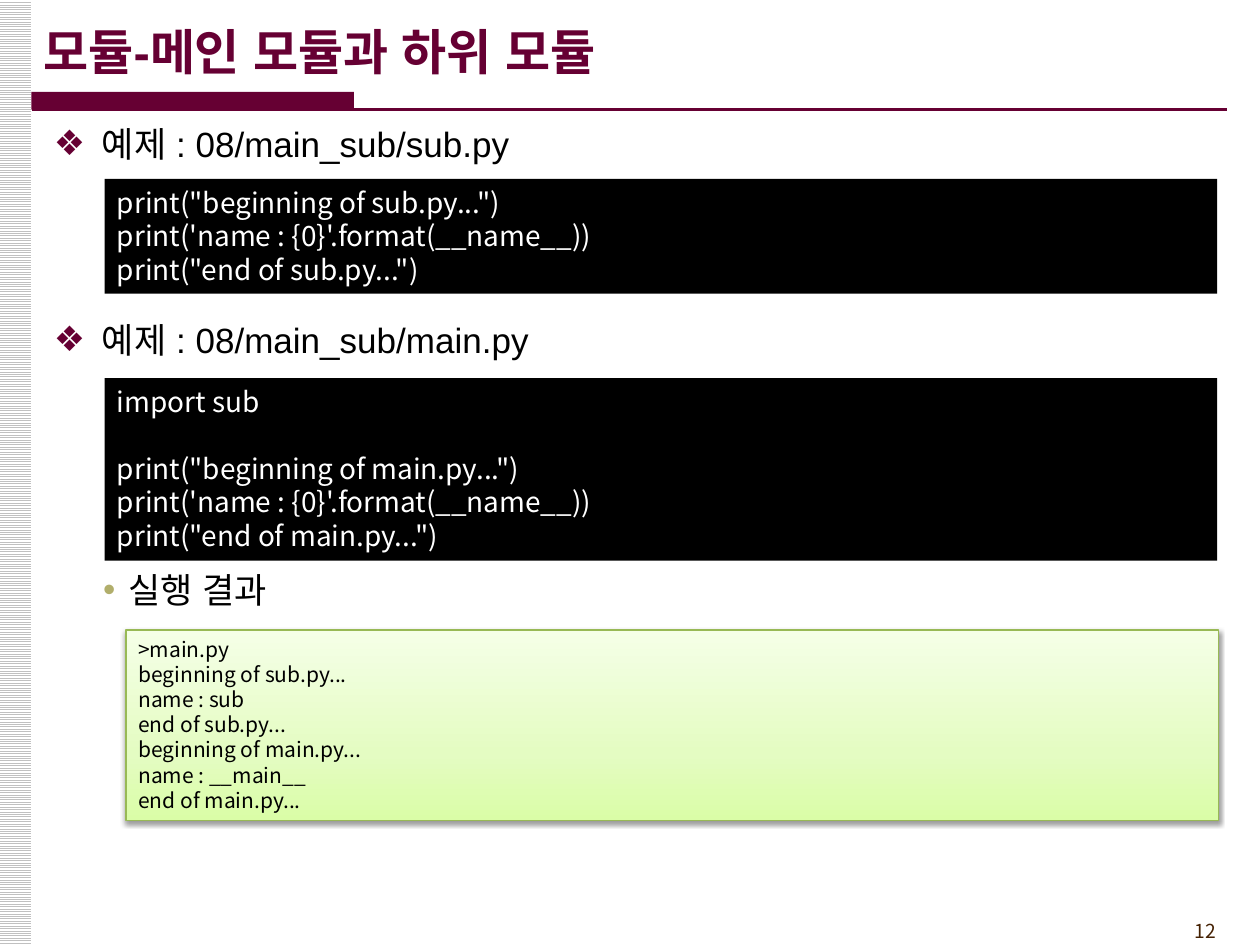
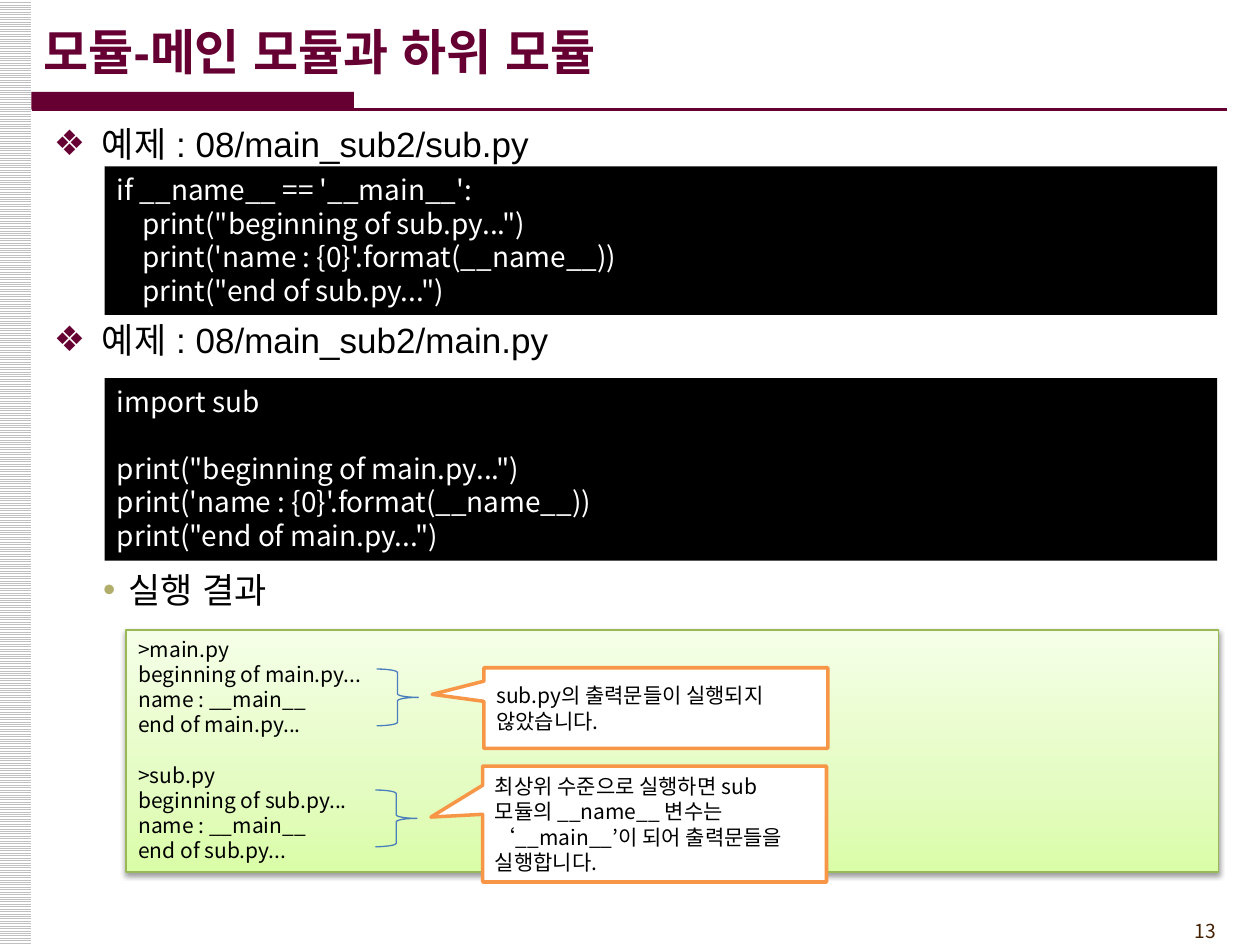
from copy import deepcopy

from lxml import etree
from pptx import Presentation
from pptx.dml import color
from pptx.enum import dml, shapes, text
from pptx.oxml import ns
from pptx.util import Inches, Pt

LATIN = "Arial"
KOREAN = "Noto Sans CJK KR"
WINE, BLACK, WHITE = "660033", "000000", "FFFFFF"
OLIVE, BROWN, GREY = "B1AE6B", "452103", "C0C0C0"
GREEN, BLUE, ORANGE = "98B955", "4B7EBC", "F79646"
OUTPUT_STOPS = [(0, "DAFDA7"), (0.35, "E4FCC2"), (1, "F5FFE7")]
LINE_HEIGHT = 1.2
TITLE = "모듈-메인 모듈과 하위 모듈"
MAIN_CODE = [
    "import sub",
    "",
    'print("beginning of main.py...")',
    "print('name : {0}'.format(__name__))",
    'print("end of main.py...")',
]


def rgb(value):
    return color.RGBColor.from_string(value)


def add_element(parent, tag, **attributes):
    element = etree.SubElement(parent, ns.qn(tag))
    for name, value in attributes.items():
        element.set(name, str(value))
    return element


def add_run(paragraph, words, size, colour, font=KOREAN, bold=False):
    run = paragraph.add_run()
    run.text = words
    run.font.name = font
    run.font.size = Pt(size)
    run.font.bold = bold
    run.font.color.rgb = rgb(colour)
    add_element(run.font._element, "a:ea", typeface=font)


def add_box(slide, box, kind=shapes.MSO_SHAPE.RECTANGLE, fill=None, line=None, width=0.75):
    shape = slide.shapes.add_shape(kind, *map(Inches, box))
    shape.shadow.inherit = False
    if fill:
        shape.fill.solid()
        shape.fill.fore_color.rgb = rgb(fill)
    else:
        shape.fill.background()
    if line:
        shape.line.color.rgb = rgb(line)
        shape.line.width = Pt(width)
    else:
        shape.line.fill.background()
    return shape


def add_text_box(slide, box, anchor=text.MSO_ANCHOR.TOP):
    frame = slide.shapes.add_textbox(*map(Inches, box)).text_frame
    frame.word_wrap = True
    frame.vertical_anchor = anchor
    return frame.paragraphs[0]


def write_lines(shape, lines, size, colour):
    frame = shape.text_frame
    frame.word_wrap = True
    frame.vertical_anchor = text.MSO_ANCHOR.TOP
    paragraph, gap = frame.paragraphs[0], 0
    for number, line in enumerate(lines):
        if not line:
            gap = size * LINE_HEIGHT
            continue
        if number:
            paragraph = frame.add_paragraph()
        words = line.lstrip()
        paragraph.alignment = text.PP_ALIGN.LEFT
        paragraph.space_before = Pt(gap)
        paragraph._p.get_or_add_pPr().set("marL", str(Inches(0.05 * (len(line) - len(words)))))
        add_run(paragraph, words, size, colour)
        gap = 0


def add_frame(slide, number):
    stripe = add_box(slide, (-0.01, 0, 0.26, 7.5))
    stripe.fill.patterned()
    stripe.fill.pattern = dml.MSO_PATTERN.LIGHT_HORIZONTAL
    stripe.fill.fore_color.rgb = rgb(GREY)
    stripe.fill.back_color.rgb = rgb(WHITE)

    page = add_text_box(slide, (8.92, 7.25, 0.83, 0.29))
    page.alignment = text.PP_ALIGN.RIGHT
    add_run(page, str(number), 11, BROWN)

    add_box(slide, (0.25, 0.73, 2.56, 0.14), fill=WINE)
    rule = slide.shapes.add_connector(
        shapes.MSO_CONNECTOR.STRAIGHT, *map(Inches, (0.25, 0.87, 9.74, 0.87)))
    rule.line.color.rgb = rgb(WINE)
    rule.line.width = Pt(1.5)
    add_element(rule._element.spPr, "a:effectLst")

    title = add_text_box(slide, (0.25, 0.09, 8.27, 0.63), text.MSO_ANCHOR.MIDDLE)
    add_run(title, TITLE, 28, WINE, LATIN, True)


def add_bullet(slide, top, words, symbol="❖", colour=WINE, margin=0.38, hang=0.38):
    paragraph = add_text_box(slide, (0.33, top, 9.5, 0.45))
    properties = paragraph._p.get_or_add_pPr()
    properties.set("marL", str(Inches(margin)))
    properties.set("indent", str(-Inches(hang)))
    add_element(add_element(properties, "a:buClr"), "a:srgbClr", val=colour)
    add_element(properties, "a:buFont", typeface=LATIN)
    add_element(properties, "a:buChar", char=symbol)
    add_run(paragraph, words, 20, BLACK, LATIN)


def add_code(slide, top, height, lines):
    panel = add_box(slide, (0.83, top, 8.83, height), fill=BLACK)
    write_lines(panel, lines, 16, WHITE)


def add_output(slide, top, height, lines):
    panel = add_box(slide, (1, top, 8.67, height), line=GREEN)
    panel.fill.gradient()
    panel.fill.gradient_angle = 90
    stop_list = panel._element.spPr.find(".//" + ns.qn("a:gsLst"))
    stop_list.insert(1, deepcopy(stop_list[0]))
    for stop, (position, colour) in zip(panel.fill.gradient_stops, OUTPUT_STOPS):
        stop.position = position
        stop.color.rgb = rgb(colour)
    effects = panel._element.spPr.find(ns.qn("a:effectLst"))
    shadow = add_element(effects, "a:outerShdw", blurRad=Pt(3.1), dist=Pt(1.6),
                         dir=90 * 60000, rotWithShape=0)
    add_element(add_element(shadow, "a:srgbClr", val=BLACK), "a:alpha", val=38000)
    write_lines(panel, lines, 12, BLACK)


def add_remark(slide, brace_place, box, pointer, words):
    add_box(slide, (*brace_place, 0.33, 0.45), shapes.MSO_SHAPE.RIGHT_BRACE, line=BLUE)
    callout = add_box(slide, box, shapes.MSO_SHAPE.RECTANGULAR_CALLOUT, WHITE, ORANGE, 2)
    for index, value in enumerate(pointer):
        callout.adjustments[index] = value
    write_lines(callout, [words], 12, BLACK)
    callout.text_frame.vertical_anchor = text.MSO_ANCHOR.MIDDLE


def add_example_slide(presentation, number, folder, sub_box, sub_code, output_height, output):
    slide = presentation.slides.add_slide(presentation.slide_layouts[6])
    add_frame(slide, number)
    add_bullet(slide, 0.92, f"예제 : 08/{folder}/sub.py")
    add_bullet(slide, 2.48, f"예제 : 08/{folder}/main.py")
    add_bullet(slide, 4.46, "실행 결과", "•", OLIVE, 0.59, 0.2)
    add_code(slide, *sub_box, sub_code)
    add_output(slide, 5, output_height, output)
    add_code(slide, 3, 1.45, MAIN_CODE)
    return slide


def printed(module, name):
    return [f"beginning of {module}.py...", f"name : {name}", f"end of {module}.py..."]


def main():
    presentation = Presentation()
    presentation.slide_width = Inches(10)
    presentation.slide_height = Inches(7.5)

    sub_code = [
        'print("beginning of sub.py...")',
        "print('name : {0}'.format(__name__))",
        'print("end of sub.py...")',
    ]
    add_example_slide(
        presentation, 12, "main_sub", (1.42, 0.91), sub_code, 1.51,
        [">main.py", *printed("sub", "sub"), *printed("main", "__main__")])

    guarded_code = ["if __name__ == '__main__':", *("    " + line for line in sub_code)]
    guarded = add_example_slide(
        presentation, 13, "main_sub2", (1.32, 1.18), guarded_code, 1.92,
        [">main.py", *printed("main", "__main__"), "",
         ">sub.py", *printed("sub", "__main__")])
    add_remark(guarded, (2.99, 5.31), (3.84, 5.3, 2.73, 0.64), (-0.65, -0.17),
               "sub.py의 출력문들이 실행되지 않았습니다.")
    add_remark(guarded, (2.98, 6.27), (3.83, 6.08, 2.73, 0.92), (-0.65, -0.06),
               "최상위 수준으로 실행하면 sub 모듈의 __name__ 변수는 "
               "‘__main__’이 되어 출력문들을 실행합니다.")
    presentation.save("out.pptx")


if __name__ == "__main__":
    main()
